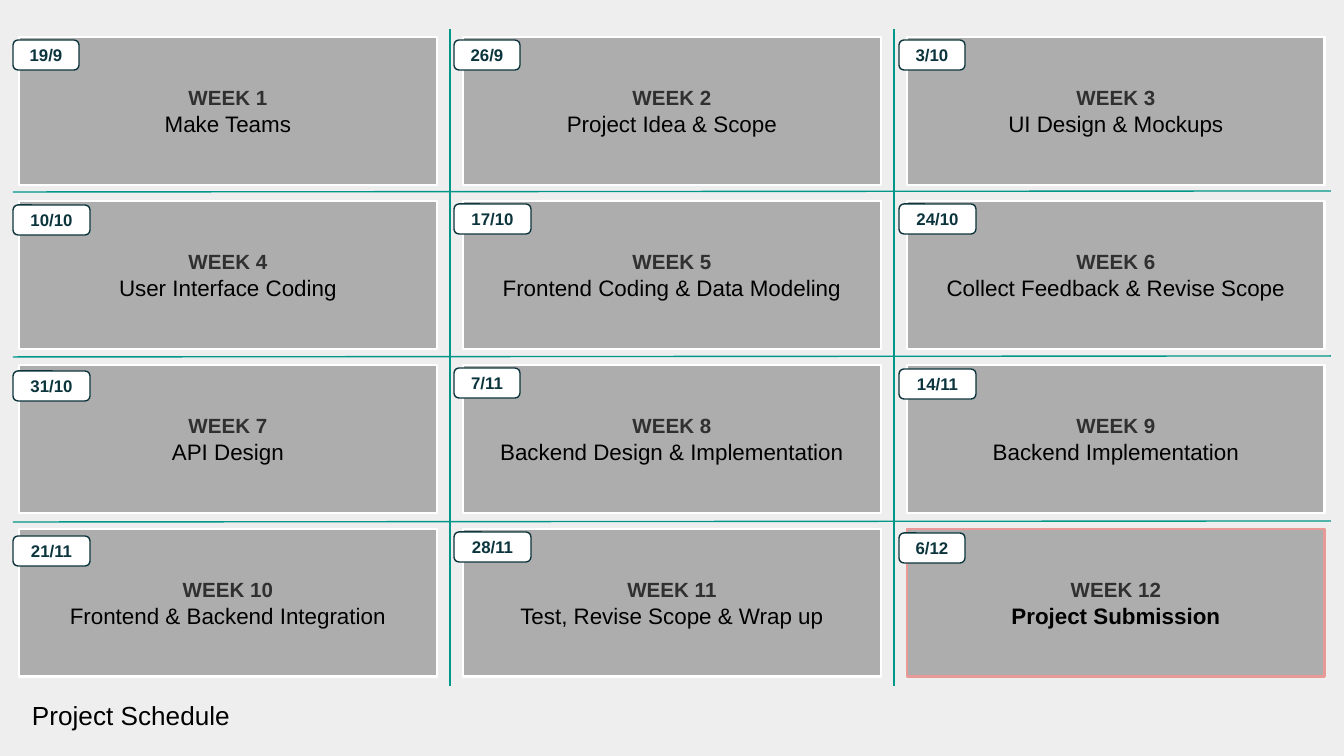
"""Build a twelve-week project schedule slide."""
from dataclasses import dataclass

from lxml.etree import SubElement
from pptx import Presentation
from pptx.dml.color import RGBColor
from pptx.enum.shapes import MSO_CONNECTOR, MSO_SHAPE
from pptx.enum.text import MSO_ANCHOR, PP_ALIGN
from pptx.oxml.ns import qn
from pptx.util import Emu, Pt

BACKGROUND = RGBColor(0xEE, 0xEE, 0xEE)
CARD = RGBColor(0xAD, 0xAD, 0xAD)
WHITE = RGBColor(0xFF, 0xFF, 0xFF)
BLACK = RGBColor(0x00, 0x00, 0x00)
CHARCOAL = RGBColor(0x30, 0x30, 0x30)
PINK = RGBColor(0xEA, 0x99, 0x99)
TEAL = RGBColor(0x00, 0x96, 0x88)
NAVY = RGBColor(0x0C, 0x34, 0x3D)

SCALE = 914400 / 134.4
COLUMNS = 3
LEFT, TOP, STEP_X, STEP_Y = 19, 37, 444, 164
CARD_W, CARD_H = 418, 148
BADGE_LEFTS = (13, 454, 899)
BADGE_H = 30
INSET = 13


@dataclass
class Week:
    date: str
    topic: str
    badge_top: int
    final: bool = False


@dataclass
class Divider:
    x1: int
    y1: int
    x2: int
    y2: int


WEEKS = [
    Week("19/9", "Make Teams", 40),
    Week("26/9", "Project Idea & Scope", 40),
    Week("3/10", "UI Design & Mockups", 40),
    Week("10/10", "User Interface Coding", 205),
    Week("17/10", "Frontend Coding & Data Modeling", 204),
    Week("24/10", "Collect Feedback & Revise Scope", 204),
    Week("31/10", "API Design", 371),
    Week("7/11", "Backend Design & Implementation", 368),
    Week("14/11", "Backend Implementation", 369),
    Week("21/11", "Frontend & Backend Integration", 536),
    Week("28/11", "Test, Revise Scope & Wrap up", 532),
    Week("6/12", "Project Submission", 533, final=True),
]

DIVIDERS = [Divider(13, y, 1331, y - 1) for y in (192, 357, 522)]
DIVIDERS += [Divider(x, 29, x, 686) for x in (450, 894)]


def px(n: int) -> Emu:
    """Turn pixels into EMU."""
    return Emu(round(n * SCALE))


def write(s, text: str, *, size: int, color: RGBColor, bold: bool = False,
          align=PP_ALIGN.CENTER, new: bool = False) -> None:
    """Write one paragraph into a shape, as its first or as a new one."""
    tf = s.text_frame
    tf.word_wrap = True
    tf.vertical_anchor = MSO_ANCHOR.MIDDLE
    tf.margin_left = tf.margin_right = tf.margin_top = tf.margin_bottom = px(INSET)
    p = tf.add_paragraph() if new else tf.paragraphs[0]
    p.alignment = align
    r = p.add_run()
    r.text = text
    r.font.name = "Arial"
    r.font.size = Pt(size)
    r.font.bold = bold
    r.font.color.rgb = color


def add_box(slide, kind, x: int, y: int, w: int, h: int, *,
            fill: RGBColor, line: RGBColor, width: float):
    """Add a flat filled and outlined shape."""
    s = slide.shapes.add_shape(kind, px(x), px(y), px(w), px(h))
    s.shadow.inherit = False
    s.fill.solid()
    s.fill.fore_color.rgb = fill
    s.line.color.rgb = line
    s.line.width = Pt(width)
    return s


def add_card(slide, index: int, week: Week) -> None:
    """Add the card of one week."""
    row, col = divmod(index, COLUMNS)
    s = add_box(slide, MSO_SHAPE.RECTANGLE, LEFT + col * STEP_X, TOP + row * STEP_Y,
                CARD_W, CARD_H, fill=CARD, line=PINK if week.final else WHITE, width=1.5)
    write(s, f"WEEK {index + 1}", size=11, color=CHARCOAL, bold=True)
    write(s, week.topic, size=12, color=BLACK, bold=week.final, new=True)


def add_divider(slide, d: Divider) -> None:
    """Add a thin line between cards."""
    s = slide.shapes.add_connector(MSO_CONNECTOR.STRAIGHT, px(d.x1), px(d.y1),
                                   px(d.x2), px(d.y2))
    s.line.color.rgb = TEAL
    s.line.width = Pt(0.75)
    SubElement(s._element.spPr, qn("a:effectLst"))


def add_badge(slide, index: int, week: Week) -> None:
    """Add the date badge of one week."""
    width = 77 if len(week.date) > 4 else 66
    s = add_box(slide, MSO_SHAPE.ROUNDED_RECTANGLE, BADGE_LEFTS[index % COLUMNS],
                week.badge_top, width, BADGE_H, fill=WHITE, line=NAVY, width=0.75)
    write(s, week.date, size=9, color=NAVY, bold=True)


def main() -> None:
    """Build and save the slide."""
    prs = Presentation()
    prs.slide_width, prs.slide_height = px(1344), px(756)
    slide = prs.slides.add_slide(prs.slide_layouts[6])
    slide.background.fill.solid()
    slide.background.fill.fore_color.rgb = BACKGROUND
    for i, week in enumerate(WEEKS):
        add_card(slide, i, week)
    for d in DIVIDERS:
        add_divider(slide, d)
    for i, week in enumerate(WEEKS):
        add_badge(slide, i, week)
    title = slide.shapes.add_textbox(px(19), px(678), px(343), px(75))
    write(title, "Project Schedule", size=14, color=BLACK, align=PP_ALIGN.LEFT)
    prs.save("out.pptx")


main()
